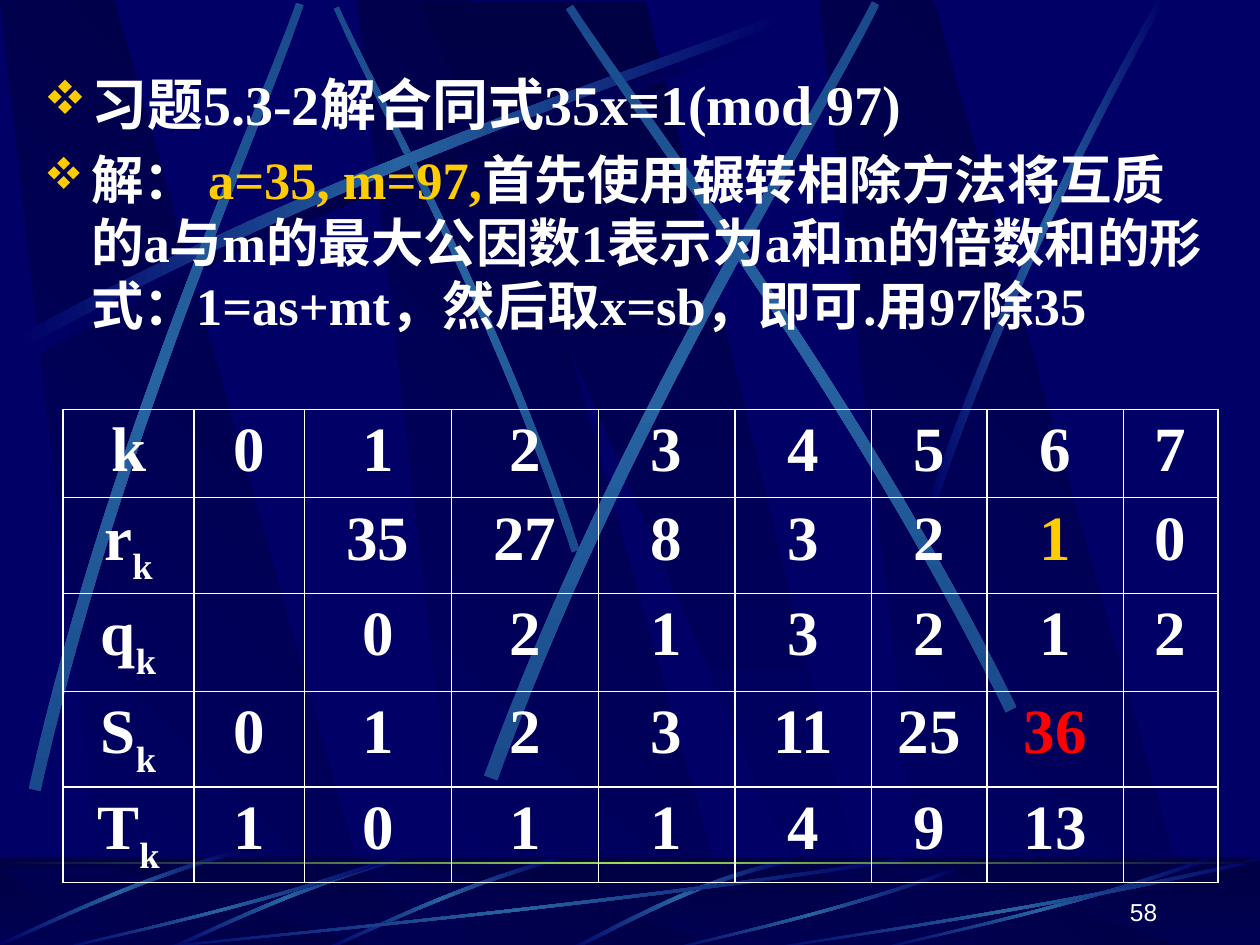
import math

from lxml import etree
from pptx import Presentation
from pptx.dml.color import RGBColor
from pptx.enum.shapes import MSO_SHAPE
from pptx.enum.text import MSO_ANCHOR, PP_ALIGN
from pptx.oxml import parse_xml
from pptx.oxml.ns import qn
from pptx.util import Pt

RECTANGLE = MSO_SHAPE.RECTANGLE
CENTER, RIGHT = PP_ALIGN.CENTER, PP_ALIGN.RIGHT
BOTTOM = MSO_ANCHOR.BOTTOM
DRAWING = 'xmlns:a="http://schemas.openxmlformats.org/drawingml/2006/main"'
SERIF, SANS = "Times New Roman", "Arial"
NAVY, DARK, BEAM, DIM = "000066", "000044", "2663A0", "1A4A8C"
WHITE, GOLD, RED, GREEN = "FFFFFF", "FFCC00", "FF0000", "9CE157"
GLOW, SHADE, STEEP = (NAVY, BEAM, NAVY), (NAVY, DARK, NAVY), (DIM, BEAM, DIM)

# Centre curve of each beam (four points), its two end widths, colours and angle
TOP_BEAMS = [
    ((15.5, 201.6), (193.7, 102.6), (378.7, 46.1), (451.8, 15.1), 7.5, 4.8, SHADE),
    ((329, 315), (284, 177.1), (214.9, 56.2), (192.2, 4.3), 4.8, 3.2, STEEP, 90),
    ((11.2, 195.8), (189.4, 96.8), (374.4, 40.3), (447.5, 9.3), 7.5, 4.8, GLOW),
    ((19.8, 451.4), (64.4, 252.7), (145.4, 77), (171.4, 2.2), 7.1, 4.6, STEEP, 90),
    ((280.4, 444.6), (354.2, 243), (463.3, 75.6), (500.4, 1.8), 8.2, 4.8, STEEP, 90),
    ((577.8, 405.7), (487.8, 222.5), (368.3, 70.6), (325.4, 4), 7.1, 4.8, STEEP, 90),
    ((533.5, 284.8), (569.9, 178.2), (620.6, 76), (663.8, 0), 4.8, 4, GLOW),
]
FLOOR_BEAM = [(319, 490.7), (259.2, 506.9), (207, 533.9), (184.7, 542.9)]
# Left, top, width and height of the long floor sweeps
SWEEPS = [(72, 490, 444, 54), (30, 490, 192, 54), (379.5, 496, 166, 48),
          (498, 490, 192, 54), (432, 490, 288, 54)]
SWEEP_CURVE = [(1, 0.02), (0.59, 0.54), (0.17, 0.83), (0, 0.99)]

COLUMNS = [75, 63, 84, 84, 78, 78, 66, 78, 54]
ROWS = [50.4, 50.4, 56, 50.4, 50.4]
VALUES = [
    ["k", "0", "1", "2", "3", "4", "5", "6", "7"],
    ["r", "", "35", "27", "8", "3", "2", "1", "0"],
    ["q", "", "0", "2", "1", "3", "2", "1", "2"],
    ["S", "0", "1", "2", "3", "11", "25", "36", ""],
    ["T", "1", "0", "1", "1", "4", "9", "13", ""],
]
HIGHLIGHTS = {(1, 7): GOLD, (3, 7): RED}


def color(code):
    return RGBColor.from_string(code)


def paint(shape, colors, angle=0, alpha=None):
    """Fill a shape with one colour or an even gradient, without line or shadow."""
    shape.shadow.inherit = False
    shape.line.fill.background()
    if len(colors) == 1:
        shape.fill.solid()
        shape.fill.fore_color.rgb = color(colors[0])
        if alpha:
            tone = shape._element.spPr.find(qn("a:solidFill"))[0]
            etree.SubElement(tone, qn("a:alpha"), val=str(alpha * 1000))
        return
    step = 100000 // (len(colors) - 1)
    stops = "".join(f'<a:gs pos="{i * step}"><a:srgbClr val="{code}"/></a:gs>'
                    for i, code in enumerate(colors))
    shape.fill.background()
    props = shape._element.spPr
    props.replace(props.find(qn("a:noFill")), parse_xml(
        f'<a:gradFill {DRAWING} rotWithShape="1"><a:gsLst>{stops}</a:gsLst>'
        f'<a:lin ang="{angle * 60000}" scaled="0"/></a:gradFill>'))


def add_outline(page, points, colors, angle=0):
    corners = [(Pt(x), Pt(y)) for x, y in points]
    builder = page.shapes.build_freeform(*corners[0])
    builder.add_line_segments(corners[1:], close=True)
    outline = builder.convert_to_shape()
    paint(outline, colors, angle)
    return outline


def add_band(page, left, top, width, height, colors, angle=0, alpha=None):
    band = page.shapes.add_shape(RECTANGLE, Pt(left), Pt(top), Pt(width), Pt(height))
    paint(band, colors, angle, alpha)


def bend(lines):
    """Turn three straight segments into one cubic curve through their points."""
    curve = etree.Element(qn("a:cubicBezTo"))
    lines[0].addprevious(curve)
    for line in lines:
        curve.append(line[0])
        line.getparent().remove(line)


def add_beam(page, a, b, c, d, first, last, colors, angle=0):
    """Draw a tapering strip along a cubic curve."""
    curve = [a, b, c, d]
    near, far = [], []
    for i, (x, y) in enumerate(curve):
        before, after = curve[max(i - 1, 0)], curve[min(i + 1, 3)]
        dx, dy = after[0] - before[0], after[1] - before[1]
        half = (first + (last - first) * i / 3) / 2 / math.hypot(dx, dy)
        near.append((x - dy * half, y + dx * half))
        far.append((x + dy * half, y - dx * half))
    beam = add_outline(page, near + far[::-1], colors, angle)
    lines = list(beam._element.iter(qn("a:lnTo")))
    bend(lines[:3])
    bend(lines[4:7])


def add_panels(page, top, height):
    """Slanted dark panels across a strip of the page."""
    bottom = top + height
    for left in (204, 0, 468):
        add_outline(page, [(left + 62, bottom), (left + 217.5, bottom),
                           (left + 65.5, top), (left, top)], (NAVY, DARK), 315)
    add_outline(page, [(240, top), (474, bottom), (500, bottom), (369, top)],
                (DARK, NAVY), 90)


def add_backdrop(page, width):
    page.background.fill.solid()
    page.background.fill.fore_color.rgb = color(NAVY)
    # Upper scene
    add_panels(page, 0.5, 541)
    for beam in TOP_BEAMS:
        add_beam(page, *beam)
    # Floor
    add_band(page, 0, 490, width, 54, (DARK, NAVY), 90)
    add_panels(page, 495.5, 48)
    add_band(page, 0, 490, width, 54, (DARK,), alpha=50)
    add_beam(page, (451.8, 492.1), (398.9, 501.8), (348.1, 532.8), (324.4, 543.2),
             2.2, 2, GLOW)
    for dx, dy in ((0, 0), (-90, 0), (-184.3, -3.6)):
        add_beam(page, *[(x + dx, y + dy) for x, y in FLOOR_BEAM], 2.2, 1.6, GLOW)
    for left, top, wide, high in SWEEPS:
        curve = [(left + wide * x, top + high * y) for x, y in SWEEP_CURVE]
        add_beam(page, *curve, 2, 1, GLOW)
    # Horizon
    add_band(page, 0, 492.5, width, 1.5, (DARK, GREEN, DARK))


def add_text(para, text, size=30, font=SERIF, tone=WHITE, bold=True, baseline=None):
    span = para.add_run()
    span.text = text
    span.font.size, span.font.name, span.font.bold = Pt(size), font, bold
    span.font.color.rgb = color(tone)
    if baseline:
        span._r.get_or_add_rPr().set("baseline", str(baseline * 1000))


def add_bullet(para):
    props = para._p.get_or_add_pPr()
    props.set("marL", str(Pt(27)))
    props.set("indent", str(-Pt(27)))
    for xml in (f'<a:buClr {DRAWING}><a:srgbClr val="{GOLD}"/></a:buClr>',
                f'<a:buSzPct {DRAWING} val="85000"/>',
                f'<a:buFont {DRAWING} typeface="Wingdings" charset="2"/>',
                f'<a:buChar {DRAWING} char="v"/>'):
        props.append(parse_xml(xml))


def add_problem(page, left, top, width, height):
    box = page.shapes.add_textbox(Pt(left), Pt(top), Pt(width), Pt(height))
    frame = box.text_frame
    frame.word_wrap = True
    question, answer = frame.paragraphs[0], frame.add_paragraph()
    answer.space_before = Pt(6)
    for para in (question, answer):
        add_bullet(para)
    add_text(question, "习题5.3-2解合同式35x≡1(mod 97)", size=32)
    add_text(answer, "解： ")
    add_text(answer, "a=35, m=97,", tone=GOLD)
    add_text(answer, "首先使用辗转相除方法将互质的a与m的最大公因数1表示为a和m的倍数和的形式："
                     "1=as+mt，然后取x=sb，即可.用97除35")


def add_borders(cell):
    props = cell._tc.get_or_add_tcPr()
    for i, side in enumerate(("lnL", "lnR", "lnT", "lnB")):
        props.insert(i, parse_xml(
            f'<a:{side} {DRAWING} w="{Pt(1)}"><a:solidFill><a:srgbClr val="{WHITE}"/>'
            f'</a:solidFill></a:{side}>'))


def add_values(page, left, top):
    table = page.shapes.add_table(len(ROWS), len(COLUMNS), Pt(left), Pt(top),
                                  Pt(sum(COLUMNS)), Pt(sum(ROWS))).table
    table.first_row = table.horz_banding = False
    for column, width in zip(table.columns, COLUMNS):
        column.width = Pt(width)
    for i, (row, height) in enumerate(zip(table.rows, ROWS)):
        row.height = Pt(height)
        for j, value in enumerate(VALUES[i]):
            cell = table.cell(i, j)
            cell.fill.background()
            add_borders(cell)
            para = cell.text_frame.paragraphs[0]
            para.alignment = CENTER
            if value:
                add_text(para, value, size=36, tone=HIGHLIGHTS.get((i, j), WHITE))
            if i and j == 0:
                cell.margin_bottom = Pt(0)
                add_text(para, "k", size=36, baseline=-30)


def add_page_number(page, left, top, width, height):
    box = page.shapes.add_textbox(Pt(left), Pt(top), Pt(width), Pt(height))
    box.text_frame.word_wrap = True
    box.text_frame.vertical_anchor = BOTTOM
    para = box.text_frame.paragraphs[0]
    para.alignment = RIGHT
    add_text(para, "58", size=14, font=SANS, bold=False)


def main():
    deck = Presentation()
    deck.slide_width, deck.slide_height = Pt(720), Pt(540)
    page = deck.slides.add_slide(deck.slide_layouts[6])
    add_backdrop(page, 720)
    add_problem(page, 18, 36, 678, 456)
    add_values(page, 36, 234)
    add_page_number(page, 518.4, 496.8, 150, 36)
    deck.save("out.pptx")


if __name__ == "__main__":
    main()
